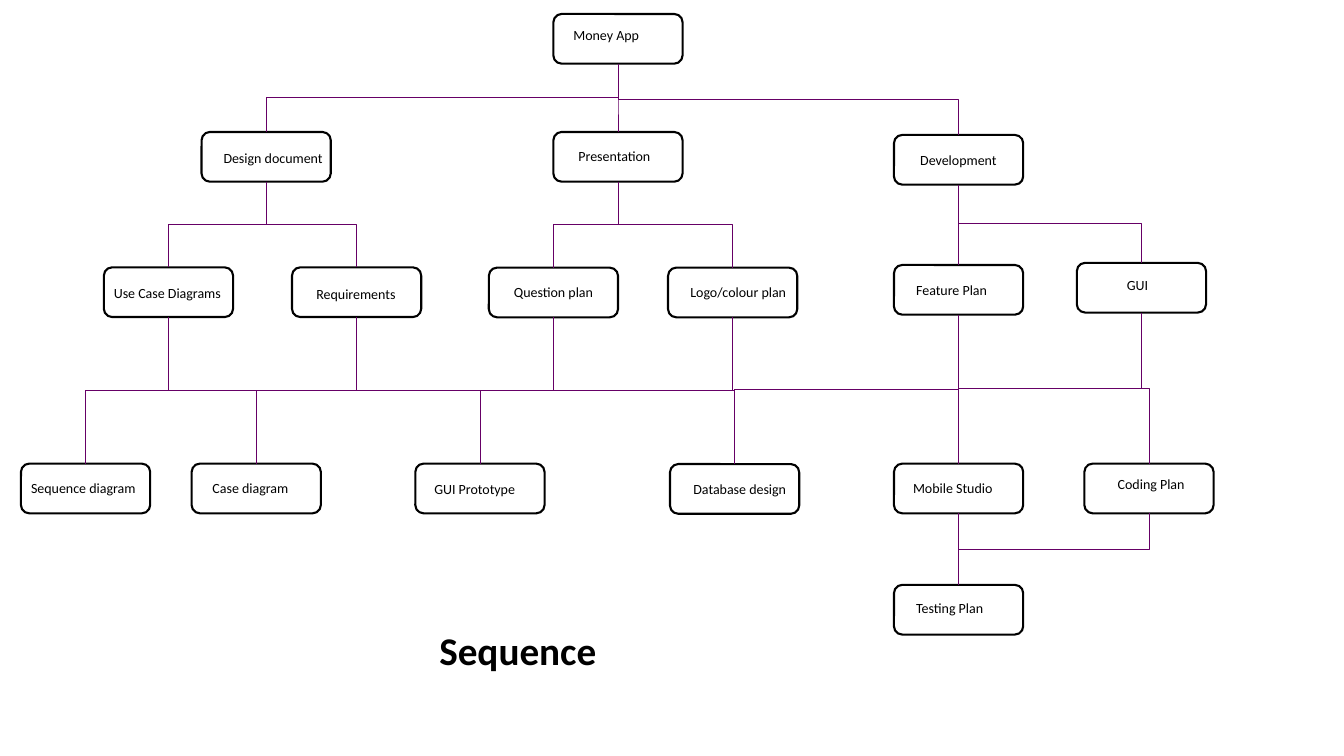
from dataclasses import dataclass

from lxml.etree import SubElement
from pptx import Presentation
from pptx.dml.color import RGBColor
from pptx.enum.shapes import MSO_AUTO_SHAPE_TYPE as Shape, MSO_CONNECTOR as Link
from pptx.enum.text import MSO_AUTO_SIZE as Fit
from pptx.oxml.ns import qn
from pptx.slide import Slide
from pptx.util import Pt

BLACK = RGBColor(0x00, 0x00, 0x00)
PURPLE = RGBColor(0x66, 0x00, 0x66)
BOX_W, BOX_H = 92.3, 35.5
LABEL_H = 19.4
LABEL_FONT = {"name": "Calibri", "size": Pt(10), "bold": False}
TITLE_FONT = {"name": "Calibri", "size": Pt(28), "bold": True}
FRAME = {"word_wrap": True, "auto_size": Fit.SHAPE_TO_FIT_TEXT}


@dataclass(frozen=True)
class Label:
    text: str
    left: float
    top: float
    width: float
    height: float = LABEL_H


@dataclass(frozen=True)
class Node:
    left: float
    top: float
    label: Label

    @property
    def mid(self) -> float:
        return self.left + BOX_W / 2

    @property
    def base(self) -> float:
        return self.top + BOX_H


NODES = [
    Node(395.3, 10, Label("Money App", 402.5, 15.1, 112.3)),
    Node(144, 94.3, Label("Design document", 152.6, 103, 163.4)),
    Node(395.3, 94.3, Label("Presentation", 406.1, 102.2, 163.4)),
    Node(638.6, 96.4, Label("Development", 650.2, 104.4, 123.8)),
    Node(74.2, 191, Label("Use Case Diagrams", 74.2, 199.4, 101.5)),
    Node(208.6, 191, Label("Requirements", 218.9, 200.2, 76)),
    Node(349.2, 191.2, Label("Question plan", 360, 198.7, 136.1)),
    Node(477.2, 191.2, Label("Logo/colour plan", 486, 198.7, 92.2)),
    Node(638.6, 189.3, Label("Feature Plan", 647.3, 197.3, 87.8)),
    Node(769.2, 187.8, Label("GUI", 797.8, 193.7, 71.3)),
    Node(15, 331.2, Label("Sequence diagram", 15.1, 339.1, 94)),
    Node(136.9, 331.2, Label("Case diagram", 144.7, 339.1, 83.5)),
    Node(296.7, 331.2, Label("GUI Prototype", 303.1, 339.8, 92.2)),
    Node(478.6, 331.5, Label("Database design", 488.2, 339.8, 95)),
    Node(638.6, 331.2, Label("Mobile Studio", 645.1, 339.1, 128.9)),
    Node(774.6, 331.2, Label("Coding Plan", 791.3, 336.2, 75.6)),
    Node(638.6, 417.8, Label("Testing Plan", 647.3, 424.8, 92.2)),
]

TREE = {
    "Money App": ["Presentation", "Design document", "Development"],
    "Design document": ["Use Case Diagrams", "Requirements"],
    "Presentation": ["Question plan", "Logo/colour plan"],
    "Development": ["Feature Plan", "GUI"],
    "Use Case Diagrams": ["Sequence diagram", "Case diagram"],
    "Requirements": ["Case diagram", "GUI Prototype"],
    "Question plan": ["GUI Prototype", "Database design"],
    "Logo/colour plan": ["Database design"],
    "Feature Plan": ["Database design", "Mobile Studio"],
    "GUI": ["Mobile Studio", "Coding Plan"],
    "Mobile Studio": ["Testing Plan"],
    "Coding Plan": ["Testing Plan"],
}

TITLE = Label("Sequence", 306.7, 443.5, 144.7, 41)


def add_box(slide: Slide, node: Node) -> None:
    box = slide.shapes.add_shape(
        Shape.ROUNDED_RECTANGLE,
        Pt(node.left), Pt(node.top), Pt(BOX_W), Pt(BOX_H))
    box.shadow.inherit = False
    box.fill.background()
    box.line.color.rgb = BLACK
    box.line.width = Pt(1.5)


def add_label(slide: Slide, label: Label, style: dict) -> None:
    frame = slide.shapes.add_textbox(
        Pt(label.left), Pt(label.top),
        Pt(label.width), Pt(label.height)).text_frame
    for key, value in FRAME.items():
        setattr(frame, key, value)
    run = frame.paragraphs[0].add_run()
    run.text = label.text
    for key, value in style.items():
        setattr(run.font, key, value)
    run.font.color.rgb = BLACK


def add_link(slide: Slide, start: Node, end: Node) -> None:
    """Join two nodes by an elbow, turned so that it leaves downwards."""
    drop, shift = end.top - start.base, end.mid - start.mid
    left = (start.mid + end.mid - drop) / 2
    top = (start.base + end.top - abs(shift)) / 2
    near, far = left, left + drop
    turn = 90
    if shift > 0:
        near, far = far, near
        turn = 270
    link = slide.shapes.add_connector(
        Link.ELBOW, Pt(near), Pt(top), Pt(far), Pt(top + abs(shift)))
    link.line.color.rgb = PURPLE
    link.line.width = Pt(0.5)
    props = link.element.spPr
    props.find(qn("a:xfrm")).set("rot", str(turn * 60000))
    SubElement(props, qn("a:effectLst"))


def main() -> None:
    deck = Presentation()
    deck.slide_width, deck.slide_height = Pt(960), Pt(540)
    slide = deck.slides.add_slide(deck.slide_layouts[6])
    for node in NODES:
        add_box(slide, node)
        add_label(slide, node.label, LABEL_FONT)
    named = {node.label.text: node for node in NODES}
    for start, ends in TREE.items():
        for end in ends:
            add_link(slide, named[start], named[end])
    add_label(slide, TITLE, TITLE_FONT)
    deck.save("out.pptx")


if __name__ == "__main__":
    main()
